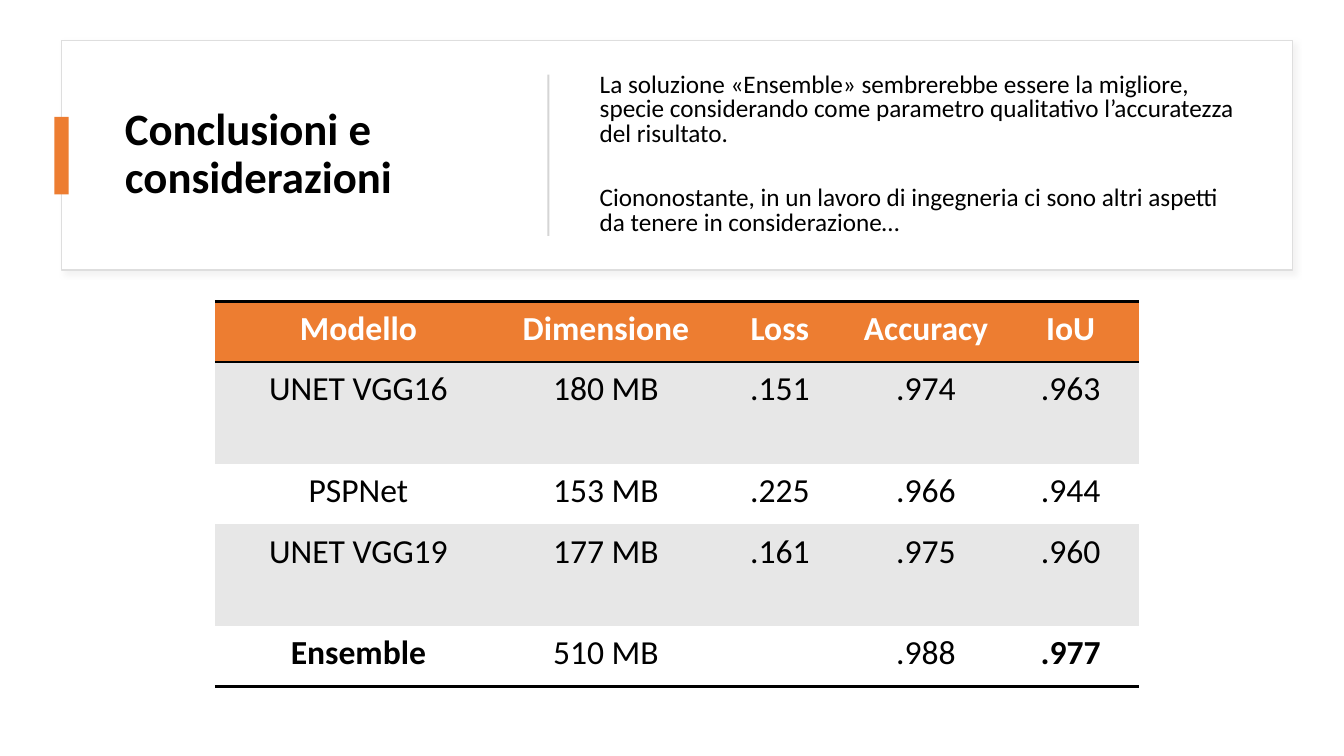
from pptx import Presentation, util as u
from pptx.dml.color import RGBColor
from pptx.enum import shapes, text
from pptx.oxml import parse_xml
from pptx.oxml.ns import nsdecls

TITLE = "Conclusioni e considerazioni"
NOTES = [
    "La soluzione «Ensemble» sembrerebbe essere la migliore, specie considerando "
    "come parametro qualitativo l’accuratezza del risultato.",
    "Ciononostante, in un lavoro di ingegneria ci sono altri aspetti da tenere "
    "in considerazione…",
]
ROWS = [
    ("Modello", "Dimensione", "Loss", "Accuracy", "IoU"),
    ("UNET VGG16", "180 MB", ".151", ".974", ".963"),
    ("PSPNet", "153 MB", ".225", ".966", ".944"),
    ("UNET VGG19", "177 MB", ".161", ".975", ".960"),
    ("Ensemble", "510 MB", "", ".988", ".977"),
]
BEST = {"Ensemble", ".977"}
WIDTHS = (2.85, 2.06, 1.39, 1.51, 1.36)
SHORT, TALL = 0.6, 1.01
CARD = (0.61, 0.4, 12.21, 2.28)
THEME = dict(
    font="Calibri", ink="000000", paper="FFFFFF", accent="ED7D31",
    band="E7E7E7", edge="DEDEDE", rule="D5D5D5", shade="C5C3C3",
    title=32, body=18, cell=24, border=2,
)
PLAIN = "{2D5ABB26-0587-4C30-8999-92F81FD0307C}"


def color(name):
    return RGBColor.from_string(THEME[name])


def box(slide, at, fill, line=None):
    shape = slide.shapes.add_shape(shapes.MSO_SHAPE.RECTANGLE, *map(u.Inches, at))
    shape.shadow.inherit = False
    shape.fill.solid()
    shape.fill.fore_color.rgb = color(fill)
    if line:
        shape.line.color.rgb = color(line)
        shape.line.width = u.Pt(1)
    else:
        shape.line.fill.background()
    return shape


def cast(shape):
    glow = parse_xml(
        f'<a:outerShdw {nsdecls("a")} blurRad="{u.Pt(4)}" dist="{u.Pt(3)}" '
        f'dir="2700000" algn="tl" rotWithShape="0"><a:srgbClr val="{THEME["shade"]}">'
        '<a:alpha val="20000"/></a:srgbClr></a:outerShdw>')
    shape.element.spPr.find("{*}effectLst").append(glow)


def write(para, words, size, ink="ink", bold=False):
    run = para.add_run()
    run.text = words
    run.font.name = THEME["font"]
    run.font.size = u.Pt(THEME[size])
    run.font.color.rgb = color(ink)
    run.font.bold = bold


def label(slide, at, lines, size, pitch, gap=0, bold=False):
    frame = slide.shapes.add_textbox(*map(u.Inches, at)).text_frame
    frame.word_wrap = True
    frame.vertical_anchor = text.MSO_ANCHOR.MIDDLE
    for i, words in enumerate(lines):
        para = frame.add_paragraph() if i else frame.paragraphs[0]
        para.line_spacing = pitch
        para.space_after = u.Pt(gap if i < len(lines) - 1 else 0)
        write(para, words, size, bold=bold)


def border(cell, sides):
    for i, side in enumerate(sides):
        line = parse_xml(
            f'<a:ln{side} {nsdecls("a")} w="{u.Pt(THEME["border"])}"><a:solidFill>'
            f'<a:srgbClr val="{THEME["ink"]}"/></a:solidFill></a:ln{side}>')
        cell._tc.get_or_add_tcPr().insert(i, line)


def fill_cell(cell, words, row):
    head = row == 0
    cell.margin_left = cell.margin_right = u.Inches(0.12)
    cell.margin_top = cell.margin_bottom = u.Inches(0.07)
    cell.fill.solid()
    cell.fill.fore_color.rgb = color("accent" if head else "band" if row % 2 else "paper")
    border(cell, "TB" if head else "B" if row == len(ROWS) - 1 else "")
    para = cell.text_frame.paragraphs[0]
    para.alignment = text.PP_ALIGN.CENTER
    if words:
        write(para, words, "cell", "paper" if head else "ink", head or words in BEST)


def grid(slide, left, top):
    highs = [TALL if i % 2 else SHORT for i in range(len(ROWS))]
    size = (left, top, sum(WIDTHS), sum(highs))
    table = slide.shapes.add_table(
        len(ROWS), len(WIDTHS), *map(u.Inches, size)).table
    table.horz_banding = False
    table._tbl.tblPr.find("{*}tableStyleId").text = PLAIN
    for col, wide in zip(table.columns, WIDTHS):
        col.width = u.Inches(wide)
    for i, (row, high) in enumerate(zip(table.rows, highs)):
        row.height = u.Inches(high)
        for cell, words in zip(row.cells, ROWS[i]):
            fill_cell(cell, words, i)


def main():
    deck = Presentation()
    deck.slide_width, deck.slide_height = u.Inches(13.33), u.Inches(7.5)
    slide = deck.slides.add_slide(deck.slide_layouts[6])
    mid = CARD[1] + CARD[3] / 2
    cast(box(slide, CARD, "paper", "edge"))
    label(slide, (1.14, mid - 0.9, 3.89, 1.8), [TITLE], "title", 0.9, bold=True)
    box(slide, (CARD[0] - 0.07, mid - 0.38, 0.14, 0.77), "accent")
    box(slide, (5.43, mid - 0.8, 0.02, 1.6), "rule")
    label(slide, (5.85, mid - 0.9, 6.56, 1.8), NOTES, "body", 0.8, gap=29)
    grid(slide, 2.13, 2.99)
    deck.save("out.pptx")


if __name__ == "__main__":
    main()
